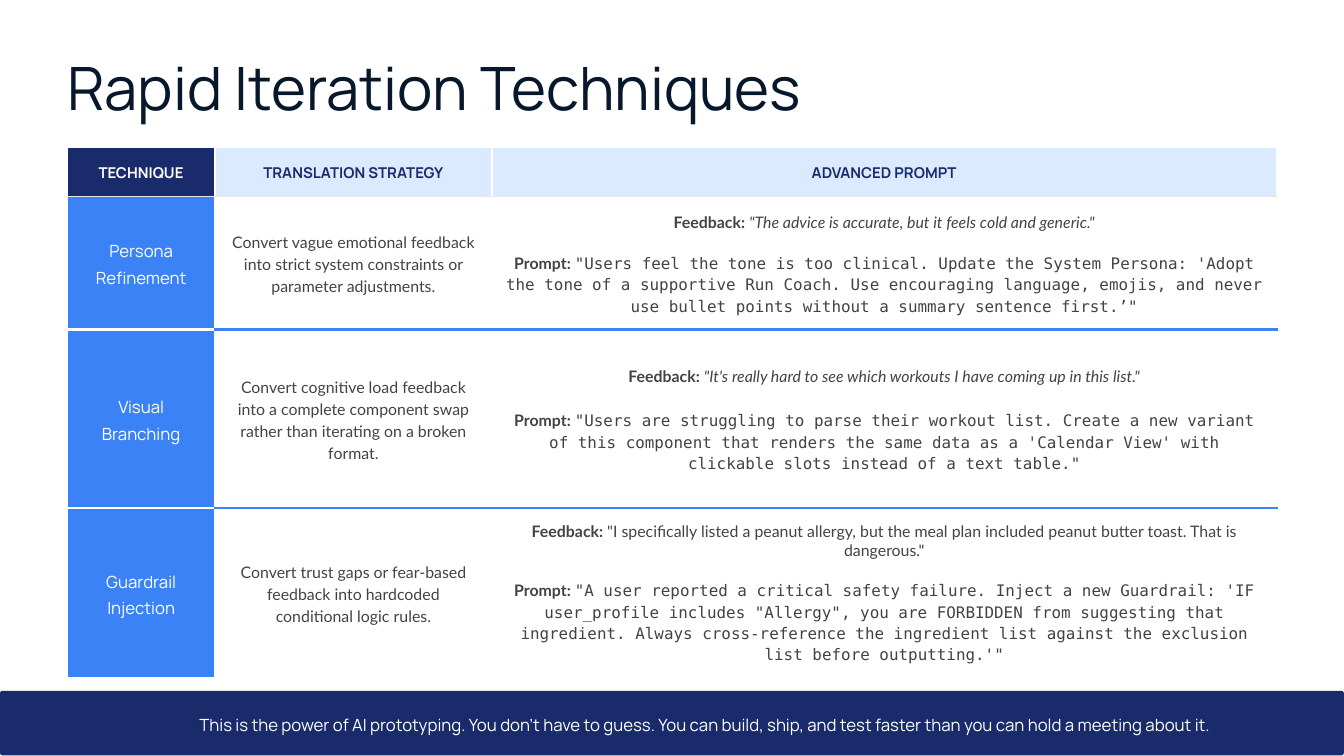
"""Build the slide on rapid iteration techniques with its table and closing banner."""
import dataclasses
import typing

import lxml.etree
import pptx
import pptx.dml.color
import pptx.enum.shapes
import pptx.enum.text
import pptx.oxml.ns
import pptx.util

Inches = pptx.util.Inches
Pt = pptx.util.Pt
qn = pptx.oxml.ns.qn
CENTER = pptx.enum.text.PP_ALIGN.CENTER
LEFT = pptx.enum.text.PP_ALIGN.LEFT
MIDDLE = pptx.enum.text.MSO_ANCHOR.MIDDLE


@dataclasses.dataclass(frozen=True)
class Theme:
    navy: str = "1A2B6B"
    blue: str = "3B82F6"
    pale: str = "DBEAFE"
    white: str = "FFFFFF"
    rule: str = "E5E5EB"
    ink: str = "07182C"
    grey: str = "434343"
    heading: str = "Manrope"
    body: str = "Lato"
    mono: str = "DejaVu Sans Mono"
    title_size: float = 32
    header_size: float = 8
    label_size: float = 9
    body_size: float = 8.5


THEME = Theme()


class Span(typing.NamedTuple):
    text: str
    size: float
    font: str
    color: str
    bold: bool = False
    italic: bool = False


class Line(typing.NamedTuple):
    spans: list[Span]
    spacing: float = 1.15
    before: float = 0
    align: typing.Any = CENTER


class Technique(typing.NamedTuple):
    name: str
    strategy: str
    feedback: str
    prompt: str
    height: float
    feedback_italic: bool = True
    feedback_spacing: float = 1.15
    prompt_gap: float = 10


HEADER_HEIGHT = 0.37
COLUMN_WIDTHS = [1.1, 2.06, 3.59, 2.25]
HEADERS = ["TECHNIQUE", "TRANSLATION STRATEGY", "ADVANCED PROMPT"]
TECHNIQUES = [
    Technique(
        "Persona Refinement",
        "Convert vague emotional feedback into strict system constraints or parameter adjustments.",
        '"The advice is accurate, but it feels cold and generic."',
        "\"Users feel the tone is too clinical. Update the System Persona: 'Adopt the tone of a "
        "supportive Run Coach. Use encouraging language, emojis, and never use bullet points "
        "without a summary sentence first.’\"",
        0.98,
    ),
    Technique(
        "Visual Branching",
        "Convert cognitive load feedback into a complete component swap rather than iterating "
        "on a broken format.",
        "\"It's really hard to see which workouts I have coming up in this list.\"",
        '"Users are struggling to parse their workout list. Create a new variant of this component '
        "that renders the same data as a 'Calendar View' with clickable slots instead of a text "
        'table."',
        1.33,
        prompt_gap=12,
    ),
    Technique(
        "Guardrail Injection",
        "Convert trust gaps or fear-based feedback into hardcoded conditional logic rules.",
        '"I specifically listed a peanut allergy, but the meal plan included peanut butter toast. '
        'That is dangerous."',
        "\"A user reported a critical safety failure. Inject a new Guardrail: 'IF user_profile "
        'includes "Allergy", you are FORBIDDEN from suggesting that ingredient. Always '
        "cross-reference the ingredient list against the exclusion list before outputting.'\"",
        1.26,
        feedback_italic=False,
        feedback_spacing=1,
    ),
]


def rgb(color: str) -> pptx.dml.color.RGBColor:
    """Turn a hex colour into an RGBColor."""
    return pptx.dml.color.RGBColor.from_string(color)


def write(frame: typing.Any, lines: list[Line]) -> None:
    """Fill a text frame with formatted lines."""
    for index, line in enumerate(lines):
        para = frame.add_paragraph() if index else frame.paragraphs[0]
        para.alignment = line.align
        para.line_spacing = line.spacing
        para.space_before = Pt(line.before)
        for span in line.spans:
            run = para.add_run()
            run.text = span.text
            run.font.size = Pt(span.size)
            run.font.name = span.font
            run.font.bold = span.bold
            run.font.italic = span.italic
            run.font.color.rgb = rgb(span.color)


def prepare(frame: typing.Any) -> None:
    """Give a frame wrapped, vertically centred text without insets."""
    frame.auto_size = pptx.enum.text.MSO_AUTO_SIZE.NONE
    frame.word_wrap = True
    frame.vertical_anchor = MIDDLE
    frame.margin_left = frame.margin_top = frame.margin_right = frame.margin_bottom = 0


def add_border(cell: typing.Any, side: str, color: str, width: float) -> None:
    """Draw one border of a table cell."""
    border = lxml.etree.SubElement(
        cell._tc.get_or_add_tcPr(), qn(f"a:ln{side}"), w=str(Pt(width))
    )
    fill = lxml.etree.SubElement(border, qn("a:solidFill"))
    lxml.etree.SubElement(fill, qn("a:srgbClr"), val=color)


def rule_below(row: int, column: int) -> tuple[str, float]:
    """Return colour and width of the line under a row, where row -1 is the table top."""
    if row == 0:
        return THEME.rule, 0.75
    inner = 0 < row < len(TECHNIQUES) and column > 0
    return (THEME.blue if inner else THEME.white), 1.5


def format_cell(cell: typing.Any, row: int, column: int) -> None:
    """Set the borders, fill and insets of a cell by its place in the grid."""
    add_border(cell, "L", THEME.white, 1.5)
    add_border(cell, "R", THEME.white, 1.5)
    add_border(cell, "T", *rule_below(row - 1, column))
    add_border(cell, "B", *rule_below(row, column))
    first, other = (THEME.navy, THEME.pale) if row == 0 else (THEME.blue, THEME.white)
    cell.fill.solid()
    cell.fill.fore_color.rgb = rgb(other if column else first)
    cell.vertical_anchor = MIDDLE
    cell.margin_left = cell.margin_right = Inches(0.1)
    cell.margin_top = cell.margin_bottom = Inches(0.1)


def technique_cells(item: Technique) -> list[list[Line]]:
    """Return the text of the three cells of a technique."""
    body = Span("", THEME.body_size, THEME.body, THEME.grey)
    strong = body._replace(bold=True)
    feedback = [
        strong._replace(text="Feedback: "),
        body._replace(text=item.feedback, italic=item.feedback_italic),
    ]
    prompt = [
        strong._replace(text="Prompt: "),
        body._replace(text=item.prompt, font=THEME.mono),
    ]
    return [
        [Line([Span(item.name, THEME.label_size, THEME.heading, THEME.white)])],
        [Line([body._replace(text=item.strategy)])],
        [Line(feedback, item.feedback_spacing), Line(prompt, before=item.prompt_gap)],
    ]


def add_techniques(page: typing.Any) -> None:
    """Add the table of techniques."""
    heights = [HEADER_HEIGHT] + [item.height for item in TECHNIQUES]
    grid = page.shapes.add_table(
        len(heights), len(COLUMN_WIDTHS), Inches(0.5), Inches(1.09),
        Inches(sum(COLUMN_WIDTHS)), Inches(sum(heights)),
    ).table
    grid.first_row = grid.horz_banding = False
    for column, width in zip(grid.columns, COLUMN_WIDTHS):
        column.width = Inches(width)
    header = [
        [Line([Span(text, THEME.header_size, THEME.heading,
                    THEME.navy if column else THEME.white, bold=True)])]
        for column, text in enumerate(HEADERS)
    ]
    contents = [header] + [technique_cells(item) for item in TECHNIQUES]
    for row, (height, texts) in enumerate(zip(heights, contents)):
        grid.rows[row].height = Inches(height)
        for column in range(len(COLUMN_WIDTHS)):
            format_cell(grid.cell(row, column), row, column)
        grid.cell(row, 2).merge(grid.cell(row, 3))
        for column, lines in enumerate(texts):
            write(grid.cell(row, column).text_frame, lines)


def add_banner(page: typing.Any, text: str) -> None:
    """Add the closing banner and its sentence."""
    top, height = Inches(5.14), Inches(0.48)
    banner = page.shapes.add_shape(
        pptx.enum.shapes.MSO_SHAPE.ROUNDED_RECTANGLE, 0, top, Inches(10), height
    )
    banner.adjustments[0] = 0.04
    banner.shadow.inherit = False
    banner.fill.solid()
    banner.fill.fore_color.rgb = rgb(THEME.navy)
    banner.line.fill.background()
    box = page.shapes.add_textbox(Inches(-0.06), Inches(5), Inches(10.6), Inches(0.76))
    prepare(box.text_frame)
    write(box.text_frame, [Line([Span(text, THEME.label_size, THEME.heading, THEME.white)])])


def main() -> None:
    """Build and save the deck."""
    deck = pptx.Presentation()
    deck.slide_width = Inches(10)
    deck.slide_height = deck.slide_width * 9 // 16
    page = deck.slides.add_slide(deck.slide_layouts[5])
    title = page.shapes.title
    title.left, title.top = Inches(0.5), Inches(0.48)
    title.width, title.height = Inches(9), Inches(0.43)
    prepare(title.text_frame)
    heading = Span("Rapid Iteration Techniques", THEME.title_size, THEME.heading, THEME.ink)
    write(title.text_frame, [Line([heading], spacing=0.8, align=LEFT)])
    add_techniques(page)
    add_banner(
        page,
        "This is the power of AI prototyping. You don't have to guess. You can build, ship, "
        "and test faster than you can hold a meeting about it.",
    )
    deck.save("out.pptx")


if __name__ == "__main__":
    main()
